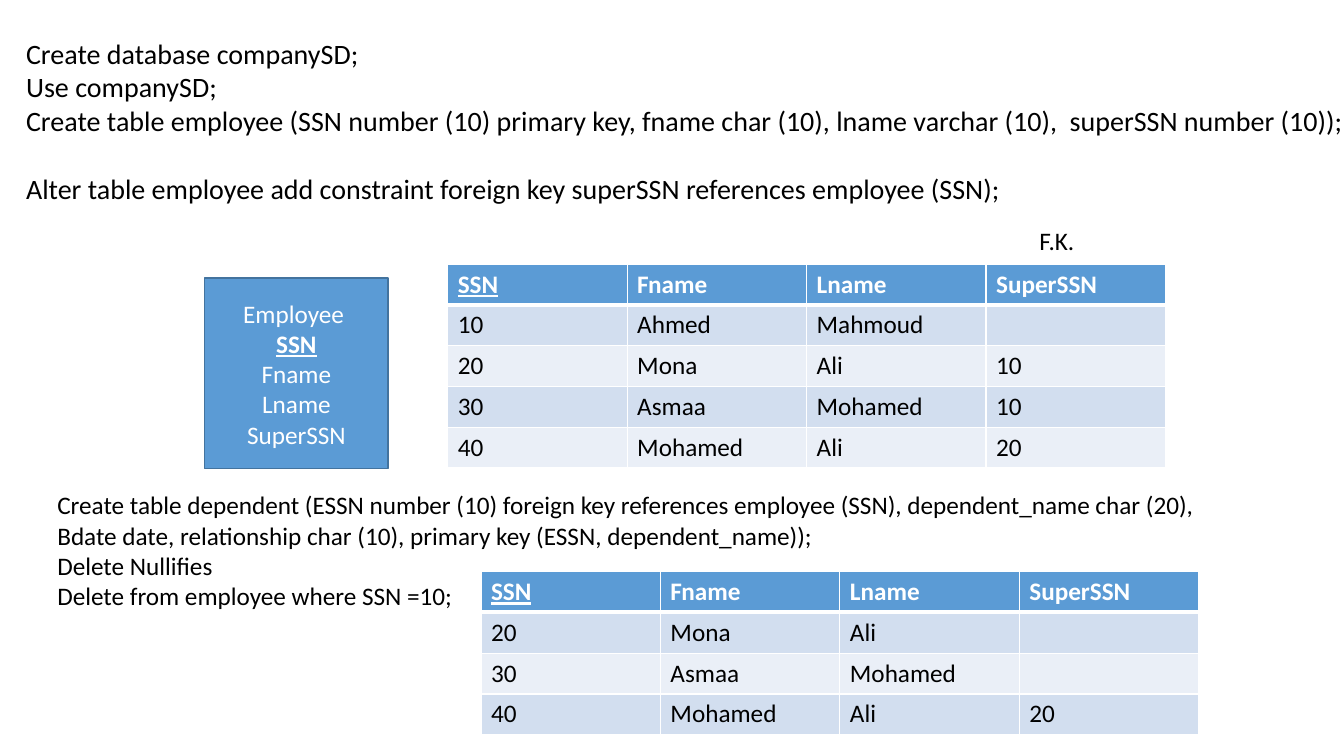
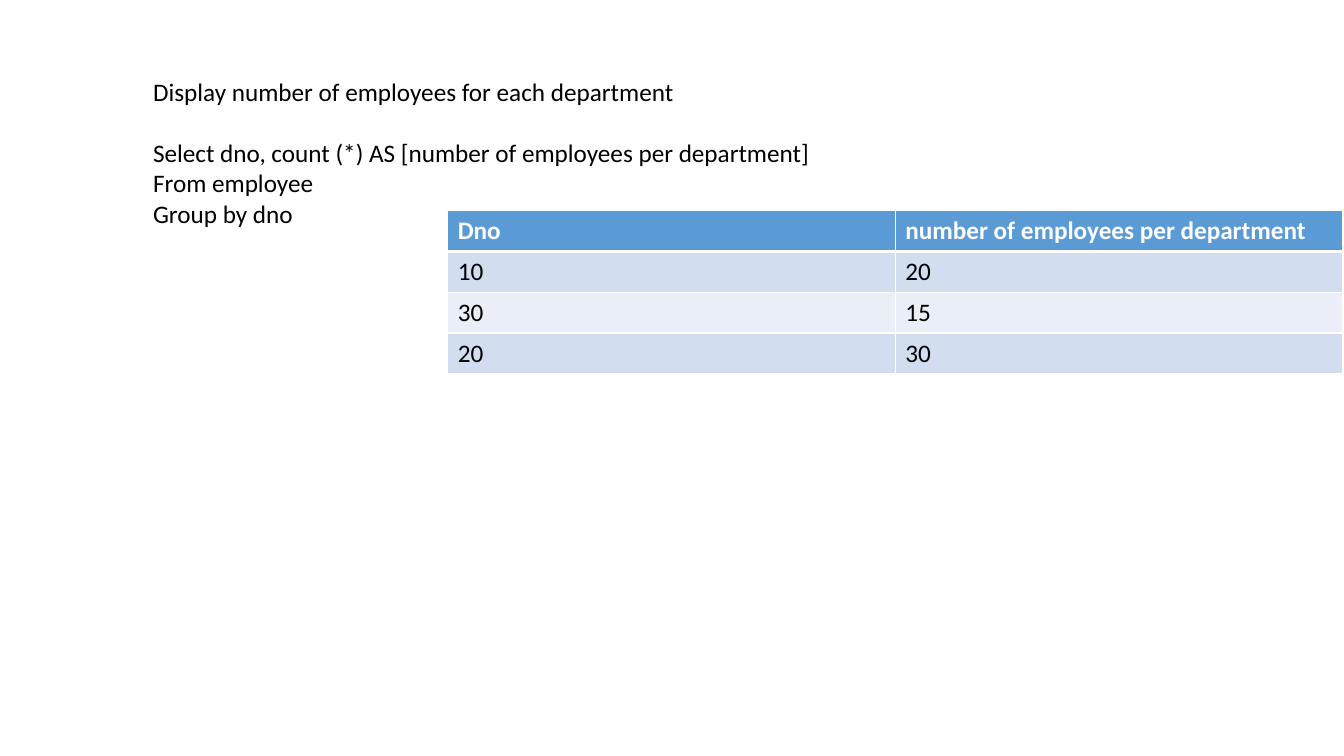
from lxml import etree
from pptx import Presentation
from pptx.dml.color import RGBColor
from pptx.enum.shapes import MSO_SHAPE
from pptx.enum.text import MSO_ANCHOR, MSO_AUTO_SIZE, PP_ALIGN
from pptx.oxml.ns import qn
from pptx.util import Inches, Pt

RECTANGLE = MSO_SHAPE.RECTANGLE
MIDDLE = MSO_ANCHOR.MIDDLE
GROW = MSO_AUTO_SIZE.SHAPE_TO_FIT_TEXT
CENTER = PP_ALIGN.CENTER

FONT = "Calibri"
LINE_HEIGHT = 1.22
BLUE = RGBColor(0x5B, 0x9B, 0xD5)
DARK_BLUE = RGBColor(0x43, 0x73, 0x9E)
BAND_DARK = RGBColor(0xD2, 0xDE, 0xEF)
BAND_LIGHT = RGBColor(0xEA, 0xEF, 0xF7)
BLACK = RGBColor(0, 0, 0)
WHITE = RGBColor(0xFF, 0xFF, 0xFF)
ROW_HEIGHT = 0.405
KEY = "SSN"


def add_statements(slide, box, lines, size=18, gap_before=None):
    """Add unwrapped lines of text, with one line of space above line gap_before."""
    frame = slide.shapes.add_textbox(*map(Inches, box)).text_frame
    frame.word_wrap = False
    frame.auto_size = GROW
    frame.text = "\n".join(lines)
    for index, paragraph in enumerate(frame.paragraphs):
        paragraph.font.name = FONT
        paragraph.font.size = Pt(size)
        paragraph.font.color.rgb = BLACK
        if index == gap_before:
            paragraph.space_before = Pt(size * LINE_HEIGHT)


def add_records(slide, left, top, column_width, rows):
    """Add a banded table whose first row is the header; the key is underlined."""
    columns = len(rows[0])
    table = slide.shapes.add_table(
        len(rows), columns, Inches(left), Inches(top),
        Inches(column_width * columns), Inches(ROW_HEIGHT * len(rows))).table
    for row_index, row in enumerate(rows):
        header = row_index == 0
        band = BLUE if header else (BAND_LIGHT, BAND_DARK)[row_index % 2]
        for column_index, value in enumerate(row):
            cell = table.cell(row_index, column_index)
            properties = cell._tc.get_or_add_tcPr()
            for side in ("lnL", "lnR", "lnT", "lnB"):
                thick = (header and side == "lnB") or (row_index == 1 and side == "lnT")
                border = etree.SubElement(properties, qn("a:" + side), w=str(Pt(3 if thick else 1)))
                solid = etree.SubElement(border, qn("a:solidFill"))
                etree.SubElement(solid, qn("a:srgbClr"), val=str(WHITE))
            cell.fill.solid()
            cell.fill.fore_color.rgb = band
            cell.text = value
            font = cell.text_frame.paragraphs[0].font
            font.name = FONT
            font.size = Pt(18)
            font.bold = header
            font.underline = value == KEY
            font.color.rgb = WHITE if header else BLACK


presentation = Presentation()
presentation.slide_width = Inches(13.33)
presentation.slide_height = Inches(7.5)
blank_layout = presentation.slide_layouts[6]
employee_header = (KEY, "Fname", "Lname", "SuperSSN")

# Slide 1: creating the tables and deleting an employee
creation = presentation.slides.add_slide(blank_layout)
add_statements(creation, (0.16, 0.31, 13.39, 2.09), (
    "Create database companySD;",
    "Use companySD;",
    "Create table employee (SSN number (10) primary key, fname char (10), "
    "lname varchar (10),  superSSN number (10));",
    "Alter table employee add constraint foreign key superSSN references employee (SSN);",
), size=20, gap_before=3)

entity = creation.shapes.add_shape(
    RECTANGLE, Inches(2.03), Inches(2.76), Inches(1.82), Inches(1.89))
entity.shadow.inherit = False
entity.fill.solid()
entity.fill.fore_color.rgb = BLUE
entity.line.color.rgb = DARK_BLUE
entity.line.width = Pt(1)
entity.text_frame.vertical_anchor = MIDDLE
entity.text_frame.text = "\n".join(("Employee ",) + employee_header)
for attribute in entity.text_frame.paragraphs:
    attribute.alignment = CENTER
    attribute.font.name = FONT
    attribute.font.size = Pt(18)
    attribute.font.color.rgb = WHITE
    attribute.font.bold = attribute.font.underline = attribute.text == KEY

add_statements(creation, (10.21, 2.19, 0.55, 0.4), ("F.K.",))
add_statements(creation, (0.47, 4.81, 11.62, 1.31), (
    "Create table dependent (ESSN number (10) foreign key references employee (SSN), "
    "dependent_name char (20),",
    "Bdate date, relationship char (10), primary key (ESSN, dependent_name));",
    "Delete Nullifies",
    "Delete from employee where SSN =10;",
))
add_records(creation, 4.44, 2.62, 1.78, (
    employee_header,
    ("10", "Ahmed", "Mahmoud", ""),
    ("20", "Mona", "Ali", "10"),
    ("30", "Asmaa", "Mohamed", "10"),
    ("40", "Mohamed", "Ali", "20"),
))
add_records(creation, 4.77, 5.67, 1.78, (
    employee_header,
    ("20", "Mona", "Ali", ""),
    ("30", "Asmaa", "Mohamed", ""),
    ("40", "Mohamed", "Ali", "20"),
))

# Slide 2: counting employees by department
grouping = presentation.slides.add_slide(blank_layout)
add_statements(grouping, (1.42, 0.71, 6.79, 1.62), (
    "Display number of employees for each department",
    "Select dno, count (*) AS [number of employees per department]",
    "From employee",
    "Group by dno",
), gap_before=1)
add_records(grouping, 4.44, 2.09, 4.44, (
    ("Dno", "number of employees per department"),
    ("10", "20"),
    ("30", "15"),
    ("20", "30"),
))

presentation.save("out.pptx")
